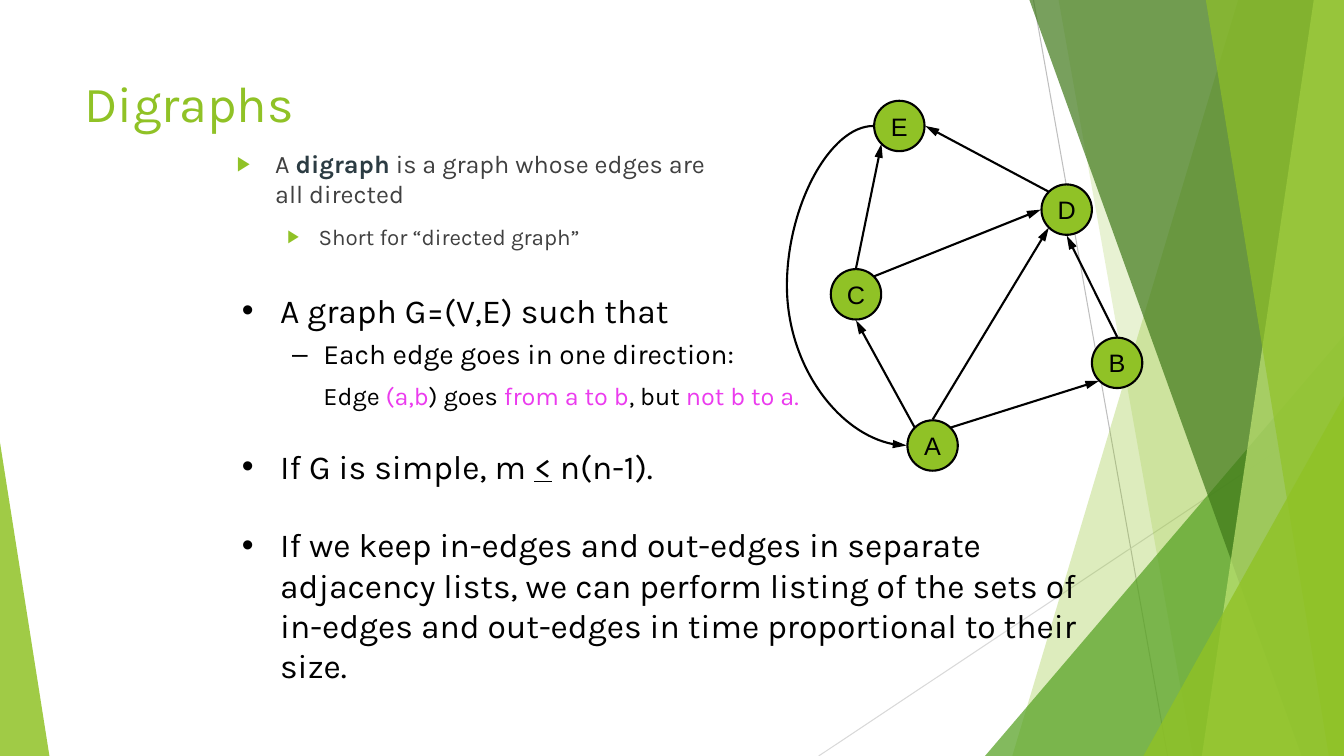
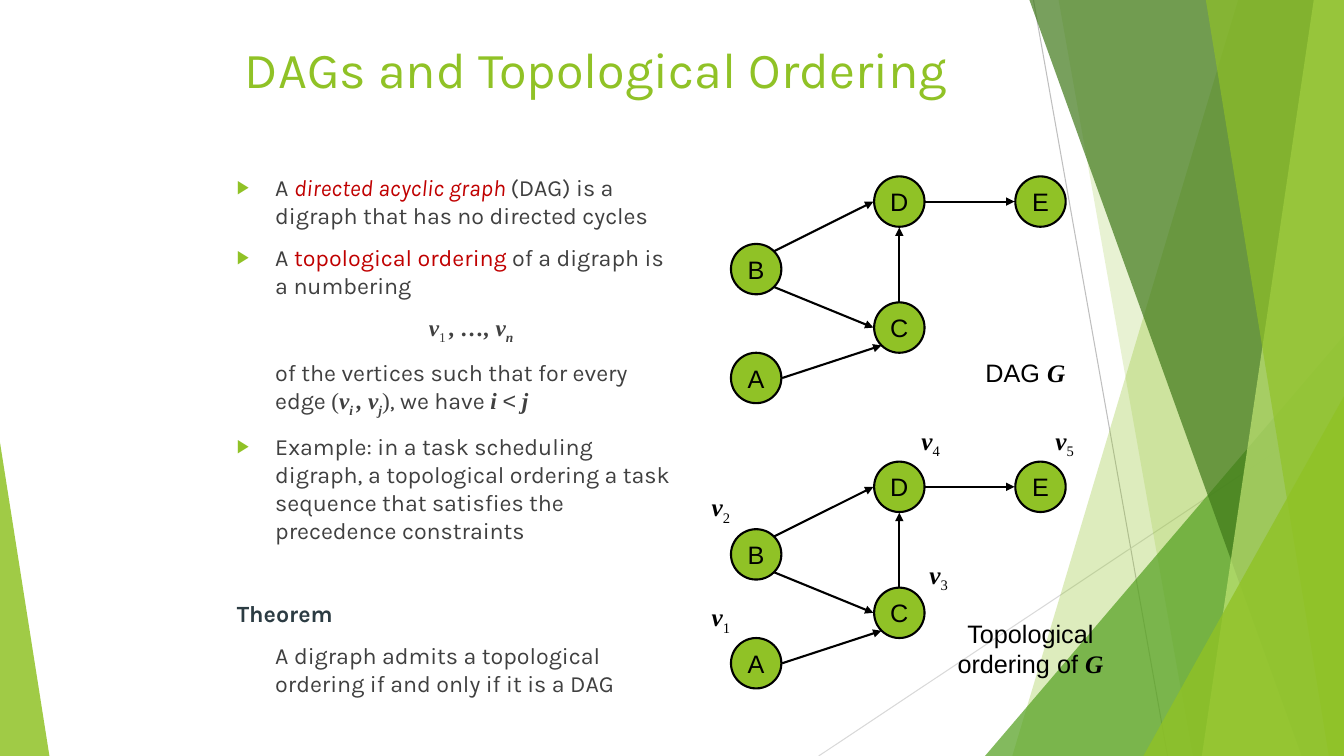
from pptx import Presentation
from pptx.dml.color import RGBColor
from pptx.enum.shapes import MSO_CONNECTOR, MSO_SHAPE
from pptx.enum.text import MSO_ANCHOR, MSO_AUTO_SIZE, PP_ALIGN
from pptx.oxml.ns import qn
from pptx.util import Inches, Pt
from lxml import etree

OVAL, TRI = MSO_SHAPE.OVAL, MSO_SHAPE.ISOSCELES_TRIANGLE
LINE, CURVE = MSO_CONNECTOR.STRAIGHT, MSO_CONNECTOR.CURVE
TOP, MIDDLE = MSO_ANCHOR.TOP, MSO_ANCHOR.MIDDLE
LEFT, CENTER = PP_ALIGN.LEFT, PP_ALIGN.CENTER
NO_FIT = MSO_AUTO_SIZE.NONE

WIDE, HIGH = 13.33, 7.5
LIME = RGBColor(0x90, 0xC2, 0x26)
LEAF = RGBColor(0x54, 0xA0, 0x21)
MOSS = RGBColor(0x3F, 0x78, 0x19)
PALE = RGBColor(0xC0, 0xE4, 0x74)
GRAY = RGBColor(0x40, 0x40, 0x40)
SLATE = RGBColor(0x2C, 0x3C, 0x43)
RED = RGBColor(0xC0, 0x00, 0x00)
PINK = RGBColor(0xEB, 0x3B, 0xEE)
BLACK = RGBColor(0, 0, 0)
SILVER = RGBColor(0xBF, 0xBF, 0xBF)
MIST = RGBColor(0xD9, 0xD9, 0xD9)
SANS, SERIF, PLAIN = "Karla", "Times New Roman", "Arial"

# Run styles
TERM = dict(color=SLATE, bold=True)
HOT = dict(color=PINK)
VAR = dict(font=SERIF, bold=True, italic=True)
SUB = dict(VAR, base=-25)
NUM = dict(font=SERIF, base=-25)

# Paragraph styles: left margin, first-line shift, bullet, level
ARROW = dict(ind=(0.38, -0.38), mark="▶", before=10)
SMALL = dict(ind=(0.81, -0.31), mark="▶", before=10, level=1, size=16)
DOT = dict(ind=(0.38, -0.38), mark="•")
DASH = dict(ind=(0.81, -0.31), mark="–", before=4.5, level=1, size=20)
NEXT = dict(ind=(0.81, 0), before=7, level=1, size=18)
FLOW = dict(ind=(0.38, 0), before=10)

# Backdrop, back to front
RULES = [(SILVER, (10.25, 0), (11.58, HIGH)), (MIST, (WIDE, 4.03), (8.12, HIGH))]
PANELS = [  # bands: x at top, x at foot; triangles: left, top, width, tip
    ("band", LIME, 30, (12.28, 10.04)),
    ("band", LIME, 20, (10.5, 11.83)),
    ("tri", LEAF, 72, (9.77, 3.33, 3.56, 1)),
    ("band", MOSS, 70, (10.21, 12.91)),
    ("band", PALE, 70, (13.03, 11.92)),
    ("band", LIME, 65, (11.96, 13.18)),
    ("tri", LIME, 80, (11.34, 3.93, 1.99, 1)),
    ("tri", LIME, 85, (0, 4.39, 0.49, 0)),
]

# Slide content
INTRO = [
    (["A ", ("digraph", TERM), " is a graph whose edges are all directed"], ARROW),
    (["Short for “directed graph”"], SMALL),
]
FACTS = [
    (["A graph G=(V,E) such that"], DOT),
    (["Each edge goes in one direction:"], DASH),
    (["Edge ", ("(a,b", HOT), ") goes ", ("from a to b", HOT), ", but ",
      ("not b to a.", HOT)], NEXT),
    (["If G is simple, m ", ("<", dict(under=True)), " n(n-1)."], dict(DOT, before=25)),
    (["If we keep in-edges and out-edges in separate adjacency lists, we can "
      "perform listing of the sets of in-edges and out-edges in time "
      "proportional to their size."], dict(DOT, before=27.5)),
]
ORDER = [
    (["A ", ("directed acyclic graph ", dict(color=RED, italic=True)),
      "(DAG) is a digraph that has no directed cycles"], ARROW),
    (["A ", ("topological ordering ", dict(color=RED)),
      "of a digraph is a numbering"], ARROW),
    ([("v", VAR), ("1 ", NUM), (", …, v", VAR), ("n ", SUB)],
     dict(FLOW, align=CENTER)),
    (["of the vertices such that for every edge ", ("(", dict(font=SERIF)),
      ("v", VAR), ("i ", SUB), (", v", VAR), ("j", SUB), (")", dict(font=SERIF)),
      ", we have ", ("i ", VAR), ("<", dict(font=PLAIN)), (" j", VAR)], FLOW),
    (["Example: in a task scheduling digraph, a topological ordering a task "
      "sequence that satisfies the precedence constraints"], ARROW),
    ([("Theorem", TERM)], dict(before=39.5)),
    (["A digraph admits a topological ordering if and only if it is a DAG"], FLOW),
]

# Graphs: node corners; edges as node and compass side at each end
NODE = 0.5
NET = dict(A=(9, 4.17), C=(8.24, 2.67), E=(8.67, 1), B=(10.83, 3.35), D=(10.33, 1.83))
LINKS = "A-NW C-S, A-NE B-SW, C-N E-SW, D-NW E-E, B-N D-S, A-N D-SW, C-NE D-W"
DAG = dict(B=(7.25, 2.42), A=(7.25, 3.5), D=(8.67, 1.75), C=(8.67, 3), E=(10.07, 1.75))
STEPS = "B-NE D-W, B-SE C-W, D-E E-W, C-N D-S, A-E C-SW"
DROP = 2.83
RANKS = [(6.95, 5.92), (6.95, 4.83), (9.11, 5.5), (9.03, 4.17), (10.36, 4.17)]


def put(parent, tag, **attrs):
    return etree.SubElement(parent, qn("a:" + tag), attrs)


def write(frame, paras, size=18, font=SANS, color=BLACK, align=LEFT,
          anchor=TOP, wrap=True):
    """Fill a text frame; paras holds (runs, paragraph style) pairs."""
    frame.word_wrap, frame.auto_size, frame.vertical_anchor = wrap, NO_FIT, anchor
    for n, (runs, look) in enumerate(paras):
        para = frame.paragraphs[0] if n == 0 else frame.add_paragraph()
        props = para._p.get_or_add_pPr()
        left, first = look.get("ind", (0, 0))
        props.set("marL", str(Inches(left)))
        props.set("indent", str(Inches(first)))
        mark = look.get("mark")
        if mark == "▶":
            put(put(props, "buClr"), "srgbClr", val=str(LIME))
            put(props, "buSzPct", val="80000")
        if mark:
            put(props, "buFont", typeface=PLAIN)
            put(props, "buChar", char=mark)
        else:
            put(props, "buNone")
        para.level = look.get("level", 0)
        para.alignment = look.get("align", align)
        para.space_before = Pt(look.get("before", 0) if n else 0)
        for part in runs:
            text, style = (part, {}) if isinstance(part, str) else part
            run = para.add_run()
            run.text = text
            run.font.size = Pt(look.get("size", size))
            run.font.name = style.get("font", font)
            run.font.color.rgb = style.get("color", color)
            run.font.bold = style.get("bold", False)
            run.font.italic = style.get("italic", False)
            run.font.underline = style.get("under", False)
            if "base" in style:
                run._r.get_or_add_rPr().set("baseline", str(style["base"] * 1000))


def place(shape, box):
    shape.left, shape.top, shape.width, shape.height = map(Inches, box)
    return shape.text_frame


def label(slide, box, runs, **form):
    frame = slide.shapes.add_textbox(*map(Inches, box)).text_frame
    write(frame, [(runs, {})], font=PLAIN, align=CENTER, **form)


def wire(slide, start, end, color=BLACK, width=1.5, kind=LINE, tip=None):
    line = slide.shapes.add_connector(kind, *map(Inches, (*start, *end)))
    line.line.color.rgb, line.line.width = color, Pt(width)
    if tip:
        put(line.line._get_or_add_ln(), "tailEnd", type="triangle", w="med", len=tip)
    put(line.element.spPr, "effectLst")
    return line


def side(spot, point):
    """Point on a node's rim at a compass side."""
    dx = ("E" in point) - ("W" in point)
    dy = ("S" in point) - ("N" in point)
    reach = NODE / 2 * (0.71 if dx and dy else 1.03)
    return spot[0] + NODE / 2 + dx * reach, spot[1] + NODE / 2 + dy * reach


def graph(slide, spots, links, drop=0, tip="med"):
    spots = {name: (x, y + drop) for name, (x, y) in spots.items()}
    for name, spot in spots.items():
        node = slide.shapes.add_shape(OVAL, *map(Inches, (*spot, NODE, NODE)))
        node.shadow.inherit = False
        node.fill.solid()
        node.fill.fore_color.rgb = LIME
        node.line.color.rgb, node.line.width = BLACK, Pt(1.5)
        write(node.text_frame, [([name], {})], font=PLAIN, align=CENTER,
              anchor=MIDDLE, wrap=False)
    for link in links.split(", "):
        ends = [end.split("-") for end in link.split()]
        wire(slide, *[side(spots[name], point) for name, point in ends], tip=tip)


def backdrop(slide, master):
    """Draw the shared bands and move them to the master."""
    parts = [wire(slide, start, end, color, 0.75) for color, start, end in RULES]
    for kind, color, alpha, spot in PANELS:
        if kind == "band":
            top, foot = map(Inches, spot)
            edge, base = Inches(WIDE), Inches(HIGH)
            pen = slide.shapes.build_freeform(top, 0)
            pen.add_line_segments([(edge, 0), (edge, base), (foot, base)], close=True)
            part = pen.convert_to_shape()
        else:
            x, y, width, peak = spot
            part = slide.shapes.add_shape(TRI, *map(Inches, (x, y, width, HIGH - y)))
            part.adjustments[0] = peak
        part.shadow.inherit = False
        part.fill.solid()
        part.fill.fore_color.rgb = color
        part.line.fill.background()
        tint = part.element.spPr.find(qn("a:solidFill")).find(qn("a:srgbClr"))
        put(tint, "alpha", val=str(alpha * 1000))
        parts.append(part)
    for n, part in enumerate(parts):
        part.element.xpath(".//p:cNvPr")[0].set("id", str(20 + n))
        master.shapes.element.insert(2 + n, part.element)


def page(deck, title, head, body, area, size):
    slide = deck.slides.add_slide(deck.slide_layouts[1])
    write(place(slide.shapes.title, head), [([title], {})], size=36, color=LIME)
    write(place(slide.placeholders[1], area), body, size=size, color=GRAY)
    return slide


def main():
    deck = Presentation()
    deck.slide_width, deck.slide_height = Inches(WIDE), Inches(HIGH)

    # Digraphs
    slide = page(deck, "Digraphs", (0.74, 0.67, 9.4, 1.44),
                 INTRO, (2.25, 1.42, 5.08, 1.67), 18)
    backdrop(slide, deck.slide_master)
    graph(slide, NET, LINKS, tip="lg")
    loop = wire(slide, side(NET["E"], "W"), side(NET["A"], "W"), kind=CURVE, tip="lg")
    guides = loop.element.spPr.find(qn("a:prstGeom")).get_or_add_avLst()
    put(guides, "gd", name="adj1", fmla="val -260000")
    facts = slide.shapes.add_textbox(*map(Inches, (2.3, 2.83, 8.61, 4.25)))
    write(facts.text_frame, FACTS, size=24)

    # Topological ordering
    slide = page(deck, "DAGs and Topological Ordering", (2.33, 0.33, 8.92, 1),
                 ORDER, (2.25, 1.67, 4.5, 5.17), 16.6)
    for drop in (0, DROP):
        graph(slide, DAG, STEPS, drop)
    label(slide, (9.67, 3.5, 1, 0.4), ["DAG ", ("G", VAR)], wrap=False)
    label(slide, (9.08, 6.08, 2.28, 0.71), ["Topological ordering of ", ("G", VAR)])
    for rank, spot in enumerate(RANKS, 1):
        label(slide, (*spot, 0.4, 0.4), [("v", VAR), (str(rank), NUM)], wrap=False)

    deck.save("out.pptx")


if __name__ == "__main__":
    main()
